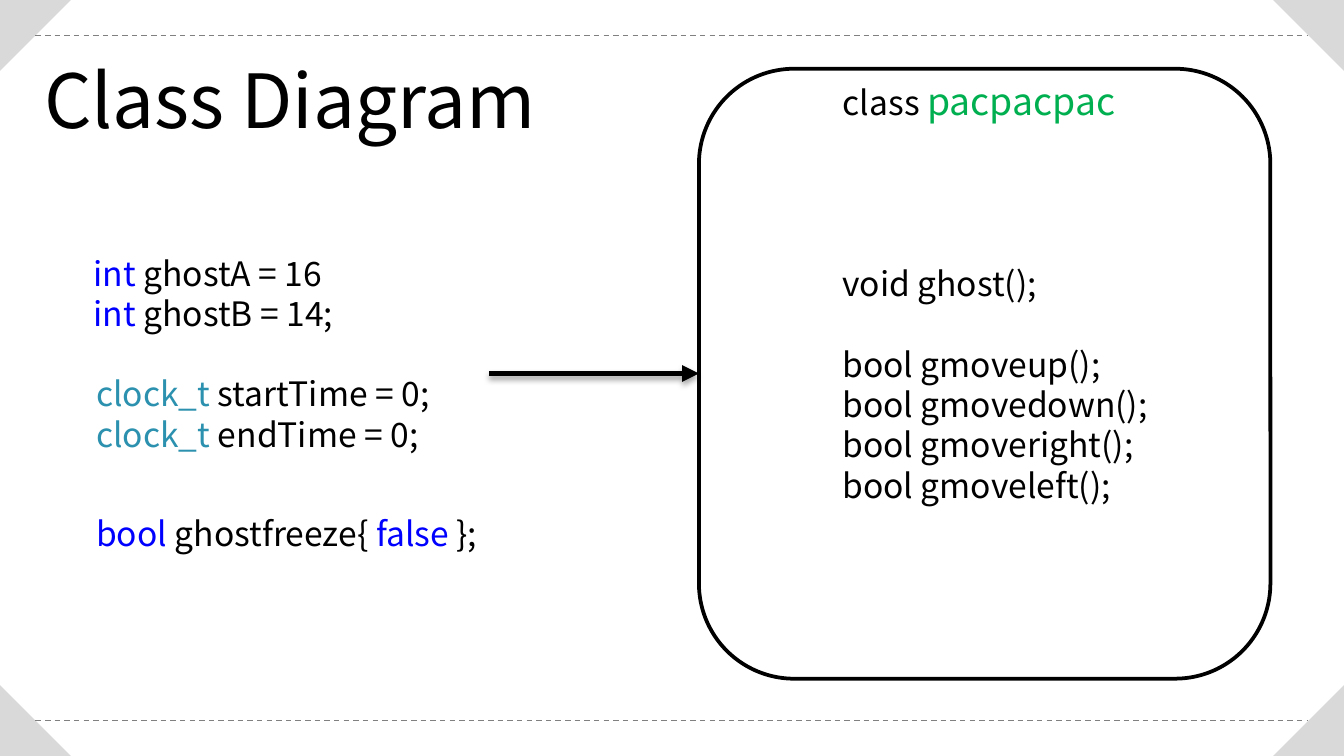
from dataclasses import dataclass

from lxml import etree
from pptx import Presentation
from pptx.dml.color import RGBColor
from pptx.enum.dml import MSO_LINE
from pptx.enum.shapes import MSO_CONNECTOR, MSO_SHAPE
from pptx.enum.text import MSO_ANCHOR, MSO_AUTO_SIZE, PP_ALIGN
from pptx.oxml.ns import qn
from pptx.shapes.connector import Connector
from pptx.slide import Slide
from pptx.text.text import Font
from pptx.util import Cm, Pt

COLORS = {
    "text": "000000",
    "paper": "FFFFFF",
    "corner": "D9D9D9",
    "rule": "808080",
    "keyword": "0000FF",
    "type": "2B91AF",
    "class": "00B050",
}
FONT = "Noto Sans CJK KR"
WIDTH, HEIGHT = 25.4, 14.29
CORNER = 1.34
CODE_SIZE = 18
LINE_HEIGHT = 1.2 * CODE_SIZE


@dataclass
class Token:
    text: str
    color: str = "text"
    size: int = CODE_SIZE


@dataclass
class CodeLine:
    tokens: list[Token]
    space_before: float = 0


@dataclass
class CodeBlock:
    left: float
    top: float
    width: float
    height: float
    lines: list[CodeLine]
    alignment: PP_ALIGN = PP_ALIGN.LEFT


CODE_BLOCKS = [
    CodeBlock(14.3, 1.35, 8.41, 1.12, [
        CodeLine([Token("class "), Token("pacpacpac", "class", 20)]),
    ], PP_ALIGN.CENTER),
    CodeBlock(15.67, 4.85, 9.73, 6.4, [
        CodeLine([Token("void ghost();")]),
        CodeLine([Token("bool gmoveup();")], LINE_HEIGHT),
        CodeLine([Token("bool gmovedown();")]),
        CodeLine([Token("bool gmoveright();")]),
        CodeLine([Token("bool gmoveleft();")]),
    ]),
    CodeBlock(1.52, 4.65, 5.64, 1.8, [
        CodeLine([Token("int", "keyword"), Token(" ghostA = 16")]),
        CodeLine([Token("int ", "keyword"), Token("ghostB = 14;")]),
    ]),
    CodeBlock(1.57, 6.93, 7.8, 1.8, [
        CodeLine([Token("clock_t ", "type"), Token("startTime = 0;")]),
        CodeLine([Token("clock_t ", "type"), Token("endTime = 0;")]),
    ]),
    CodeBlock(1.57, 9.58, 8.84, 1.02, [
        CodeLine([Token("bool ", "keyword"), Token("ghostfreeze{ "),
                  Token("false", "keyword"), Token(" };")]),
    ]),
]


def rgb(name: str) -> RGBColor:
    return RGBColor.from_string(COLORS[name])


def format_font(font: Font, size: int, color: str) -> None:
    font.name = FONT
    font.size = Pt(size)
    font.color.rgb = rgb(color)


def draw_corners(slide: Slide) -> None:
    right, bottom = WIDTH - CORNER, HEIGHT - CORNER
    corners = [(0, bottom), (0, 0), (right, 0), (right, bottom)]
    for turn, (left, top) in enumerate(corners):
        triangle = slide.shapes.add_shape(
            MSO_SHAPE.RIGHT_TRIANGLE, Cm(left), Cm(top), Cm(CORNER), Cm(CORNER))
        triangle.rotation = 90 * turn
        triangle.shadow.inherit = False
        triangle.fill.solid()
        triangle.fill.fore_color.rgb = rgb("corner")
        triangle.line.fill.background()


def draw_line(slide: Slide, start: float, end: float, y: float,
              color: str, weight: float) -> Connector:
    """Draw a horizontal line without a shadow."""
    line = slide.shapes.add_connector(
        MSO_CONNECTOR.STRAIGHT, Cm(start), Cm(y), Cm(end), Cm(y))
    line.line.color.rgb = rgb(color)
    line.line.width = Pt(weight)
    etree.SubElement(line._element.spPr, qn("a:effectLst"))
    return line


def draw_rules(slide: Slide) -> None:
    margin = CORNER / 2
    for y in (margin, HEIGHT - margin):
        rule = draw_line(slide, margin, WIDTH - margin, y, "rule", 0.75)
        rule.line.dash_style = MSO_LINE.DASH


def draw_title(slide: Slide) -> None:
    title = slide.shapes.title
    title.left, title.top, title.width, title.height = (
        Cm(0.58), Cm(0.89), Cm(19.02), Cm(1.96))
    frame = title.text_frame
    frame.text = "Class Diagram"
    frame.word_wrap = True
    frame.auto_size = MSO_AUTO_SIZE.SHAPE_TO_FIT_TEXT
    frame.vertical_anchor = MSO_ANCHOR.TOP
    paragraph = frame.paragraphs[0]
    paragraph.alignment = PP_ALIGN.LEFT
    format_font(paragraph.runs[0].font, 40, "text")


def draw_class_box(slide: Slide) -> None:
    box = slide.shapes.add_shape(
        MSO_SHAPE.ROUNDED_RECTANGLE, Cm(13.21), Cm(1.3), Cm(10.8), Cm(11.53))
    box.shadow.inherit = False
    box.fill.solid()
    box.fill.fore_color.rgb = rgb("paper")
    box.line.color.rgb = rgb("text")
    box.line.width = Pt(2)


def draw_arrow(slide: Slide) -> None:
    arrow = draw_line(slide, 9.25, 13.21, 7.06, "text", 3)
    properties = arrow._element.spPr
    etree.SubElement(properties.find(qn("a:ln")), qn("a:tailEnd"), type="triangle")
    shadow = etree.SubElement(
        properties.find(qn("a:effectLst")), qn("a:outerShdw"),
        blurRad=str(Pt(3.1)), dist=str(Pt(1.8)), dir="5400000", rotWithShape="0")
    color = etree.SubElement(shadow, qn("a:srgbClr"), val=COLORS["text"])
    etree.SubElement(color, qn("a:alpha"), val="35000")


def draw_code_block(slide: Slide, block: CodeBlock) -> None:
    text_box = slide.shapes.add_textbox(
        Cm(block.left), Cm(block.top), Cm(block.width), Cm(block.height))
    frame = text_box.text_frame
    frame.word_wrap = True
    frame.auto_size = MSO_AUTO_SIZE.SHAPE_TO_FIT_TEXT
    for index, line in enumerate(block.lines):
        paragraph = frame.add_paragraph() if index else frame.paragraphs[0]
        paragraph.alignment = block.alignment
        paragraph.space_before = Pt(line.space_before)
        for token in line.tokens:
            run = paragraph.add_run()
            run.text = token.text
            format_font(run.font, token.size, token.color)


def main() -> None:
    presentation = Presentation()
    presentation.slide_width, presentation.slide_height = Cm(WIDTH), Cm(HEIGHT)
    slide = presentation.slides.add_slide(
        presentation.slide_layouts.get_by_name("Title Only"))
    draw_corners(slide)
    draw_rules(slide)
    draw_title(slide)
    draw_class_box(slide)
    draw_arrow(slide)
    for block in CODE_BLOCKS:
        draw_code_block(slide, block)
    presentation.save("out.pptx")


if __name__ == "__main__":
    main()
